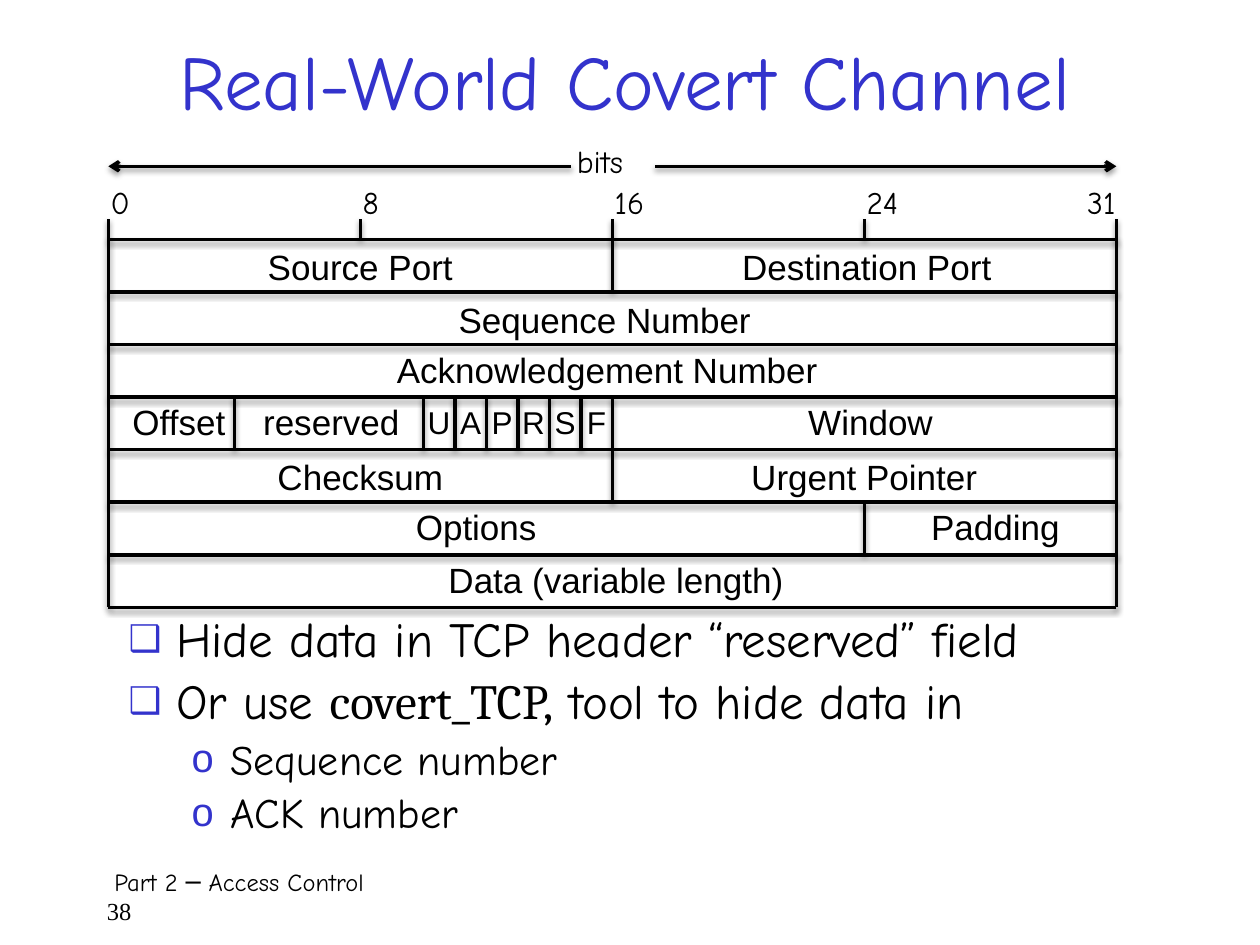
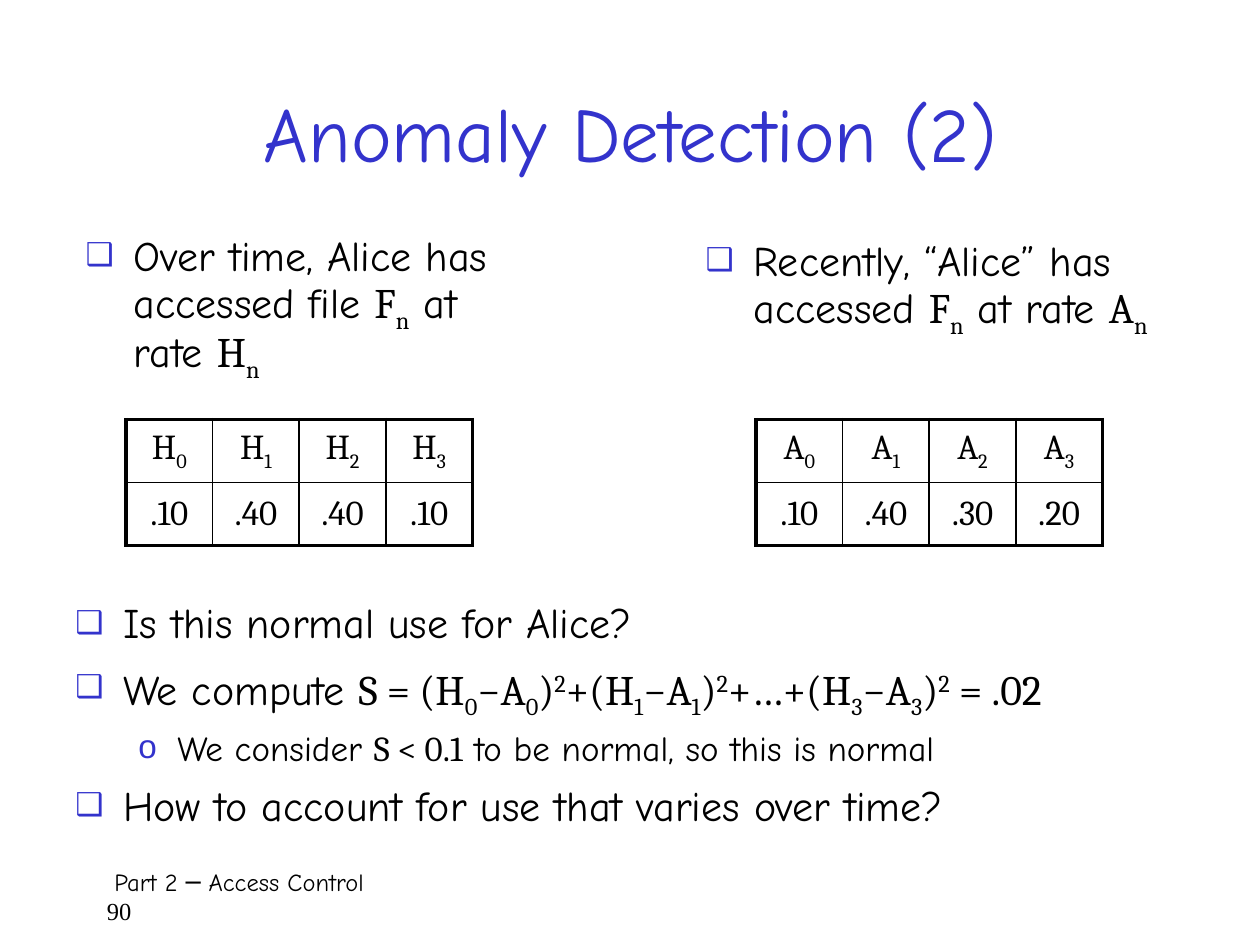
"""Build two lecture slides: a TCP header diagram and an anomaly detection example."""
from dataclasses import dataclass
from itertools import accumulate

from lxml import etree
from pptx import Presentation
from pptx.dml.color import RGBColor
from pptx.enum.shapes import MSO_CONNECTOR
from pptx.enum.text import MSO_ANCHOR, MSO_AUTO_SIZE, PP_ALIGN
from pptx.oxml.ns import qn
from pptx.util import Inches, Pt

STRAIGHT = MSO_CONNECTOR.STRAIGHT
MIDDLE = MSO_ANCHOR.MIDDLE
FIXED = MSO_AUTO_SIZE.NONE
LEFT, CENTER = PP_ALIGN.LEFT, PP_ALIGN.CENTER


@dataclass(frozen=True)
class Theme:
    ink: str = "000000"
    accent: str = "3333CC"
    hand: str = "Comic Neue"
    formula: str = "Cambria"
    diagram: str = "Arial"
    number: str = "Times New Roman"
    title: int = 44
    large: int = 28
    medium: int = 24
    small: int = 20
    label: int = 18
    footer: int = 14


THEME = Theme()
BULLETS = [("❑", 75, 0.38, -0.38), ("o", 95, 0.81, -0.31)]
SCRIPTS = {"↓": "-25000", "↑": "30000"}


def place(box, left, top, width, height):
    """Move a box, in inches, and return its text frame."""
    box.left, box.top = Inches(left), Inches(top)
    box.width, box.height = Inches(width), Inches(height)
    box.text_frame.word_wrap = True
    box.text_frame.auto_size = FIXED
    return box.text_frame


def write(frame, text, size, font=THEME.hand, color=THEME.ink, align=LEFT,
          level=None, spacing=1.0, after=0, indent=0):
    """Add a paragraph; backticks switch to the formula font, |↓ and |↑ shift a piece."""
    first = not frame.paragraphs[0].runs
    para = frame.paragraphs[0] if first else frame.add_paragraph()
    properties = para._p.get_or_add_pPr()
    if level is not None:
        sign, percent, margin, indent = BULLETS[level]
        para.level = level
        properties.set("marL", str(Inches(margin)))
        tint = etree.SubElement(properties, qn("a:buClr"))
        etree.SubElement(tint, qn("a:srgbClr"), val=THEME.accent)
        etree.SubElement(properties, qn("a:buSzPct"), val=str(percent * 1000))
        etree.SubElement(properties, qn("a:buFont"), typeface=THEME.diagram)
        etree.SubElement(properties, qn("a:buChar"), char=sign)
    properties.set("indent", str(Inches(indent)))
    para.alignment = align
    para.line_spacing = spacing
    para.space_before = Pt(0 if first or level is None else size * 0.2)
    para.space_after = Pt(after)
    for index, part in enumerate(text.split("`")):
        for piece in filter(None, part.split("|")):
            span = para.add_run()
            span.text = piece.lstrip("↓↑")
            span.font.size = Pt(size)
            span.font.name = THEME.formula if index % 2 else font
            span.font.color.rgb = RGBColor.from_string(color)
            if piece[0] in SCRIPTS:
                span._r.get_or_add_rPr().set("baseline", SCRIPTS[piece[0]])


deck = Presentation()
deck.slide_width, deck.slide_height = Inches(10), Inches(7.5)

pages = [
    (1, "Real-World Covert Channel", (0.67, 0.17, 8.58, 0.92), "38"),
    (3, "Anomaly Detection (2)", (0.67, 0.42, 8.67, 1.25), "90"),
]
for layout, title, title_area, number in pages:
    slide = deck.slides.add_slide(deck.slide_layouts[layout])
    frame = place(slide.shapes.title, *title_area)
    write(frame, title, THEME.title, color=THEME.accent, align=CENTER)
    frame = place(slide.shapes.add_textbox(0, 0, 0, 0), 0.75, 6.83, 8.58, 0.5)
    write(frame, "Part 2 ─ Access Control", THEME.footer, indent=0.06)
    write(frame, number, THEME.footer, font=THEME.number)
header_slide, anomaly_slide = deck.slides

frame = place(header_slide.placeholders[1], 0.92, 4.83, 8.33, 2)
for text, level, size in [
    ("Hide data in TCP header “reserved” field", 0, THEME.large),
    ("Or use `covert_TCP,` tool to hide data in", 0, THEME.large),
    ("Sequence number", 1, THEME.medium),
    ("ACK number", 1, THEME.medium),
]:
    write(frame, text, size, level=level, spacing=0.9)

GRID_LEFT, GRID_TOP, BIT, ROW = 0.86, 1.9, 0.25, 2.92 / 7
GRID_RIGHT, GRID_BOTTOM = GRID_LEFT + 32 * BIT, GRID_TOP + 7 * ROW
header_rows = [
    (0, [("Source Port", 16, 0), ("Destination Port", 16, 0.02)]),
    (0, [("Sequence Number", 32, -0.06)]),
    (-0.02, [("Acknowledgement Number", 32, -0.04)]),
    (-0.02, [("Offset", 4, 0.06), ("reserved", 6, 0.02)]
     + [(flag, 1, 0) for flag in "UAPRSF"] + [("Window", 16, 0.05)]),
    (0, [("Checksum", 16, 0), ("Urgent Pointer", 16, 0)]),
    (-0.02, [("Options", 24, -0.08), ("Padding", 8, 0.04)]),
    (-0.02, [("Data (variable length)", 32, 0.03)]),
]
lines = [(GRID_LEFT, GRID_TOP, GRID_RIGHT, GRID_TOP)]
lines += [(x, GRID_TOP, x, GRID_BOTTOM) for x in (GRID_LEFT, GRID_RIGHT)]
lines += [(GRID_LEFT + bit * BIT, GRID_TOP, GRID_LEFT + bit * BIT, GRID_TOP - 0.16)
          for bit in range(0, 33, 8)]
for row, (lift, fields) in enumerate(header_rows):
    top = GRID_TOP + row * ROW
    lines.append((GRID_LEFT, top + ROW, GRID_RIGHT, top + ROW))
    ends = accumulate(bits for name, bits, nudge in fields)
    for (name, bits, nudge), end in zip(fields, ends):
        right = GRID_LEFT + end * BIT
        if end < 32:
            lines.append((right, top, right, top + ROW))
        flag = bits == 1
        frame = place(header_slide.shapes.add_textbox(0, 0, 0, 0),
                      right - bits * BIT + nudge, top if flag else top + lift,
                      bits * BIT, 0.44)
        frame.margin_left = frame.margin_right = 0
        write(frame, name, THEME.label if flag else THEME.small,
              font=THEME.diagram, align=CENTER)

arrows = [(4.53, 1.32, GRID_LEFT, 1.32), (5.2, 1.32, GRID_RIGHT, 1.32)]
for ends in lines + arrows:
    line = header_slide.shapes.add_connector(STRAIGHT, *map(Inches, ends)).line
    line.color.rgb = RGBColor.from_string(THEME.ink)
    line.width = Pt(2)
    if ends in arrows:
        etree.SubElement(line._get_or_add_ln(), qn("a:tailEnd"), type="arrow")

scale_labels = [(str(bit), GRID_LEFT + bit * BIT - 0.08, 1.4)
                for bit in (0, 8, 16, 24, 31)]
for text, left, top in scale_labels + [("bits", 4.48, 1.08)]:
    frame = place(header_slide.shapes.add_textbox(0, 0, 0, 0), left, top, 0.7, 0.4)
    write(frame, text, THEME.label)

histories = [
    (1, (0.58, 1.83), "Over time, Alice has accessed file `F|↓n` at rate `H|↓n",
     "H", (".10", ".40", ".40", ".10"), 1),
    (2, (5.5, 1.87), "Recently, “Alice” has accessed `F|↓n` at rate `A|↓n",
     "A", (".10", ".40", ".30", ".20"), 6),
]
for holder, corner, text, symbol, rates, table_left in histories:
    frame = place(anomaly_slide.placeholders[holder], *corner, 3.75, 1.33)
    write(frame, text, THEME.medium, level=0, spacing=0.85)
    table = anomaly_slide.shapes.add_table(
        2, 4, Inches(table_left), Inches(3.33), Inches(2.75), Inches(1)).table
    table.first_row = table.horz_banding = False
    names = [f"{symbol}|↓{index}" for index in range(4)]
    for row, values in enumerate((names, rates)):
        for column, value in enumerate(values):
            cell = table.cell(row, column)
            cell.fill.background()
            cell.vertical_anchor = MIDDLE
            write(cell.text_frame, f"`{value}", THEME.small, align=CENTER)
            outer = (("L", column == 0), ("R", column == 3),
                     ("T", row == 0), ("B", row == 1))
            for index, (side, outside) in enumerate(outer):
                border = etree.Element(qn(f"a:ln{side}"),
                                       w=str(Pt(2.25 if outside else 1)))
                fill = etree.SubElement(border, qn("a:solidFill"))
                etree.SubElement(fill, qn("a:srgbClr"), val=THEME.ink)
                cell._tc.get_or_add_tcPr().insert(index, border)

frame = place(anomaly_slide.shapes.add_textbox(0, 0, 0, 0), 0.5, 4.75, 9.25, 2)
squares = [f"(H|↓{index}|−A|↓{index}|)|↑2|" for index in (0, 1, 3)]
for text, level, size in [
    ("Is this normal use for Alice?", 0, THEME.medium),
    ("We compute `S = {}+{}+…+{} = .02".format(*squares), 0, THEME.medium),
    ("We consider `S < 0.1` to be normal, so this is normal", 1, THEME.small),
    ("How to account for use that varies over time?", 0, THEME.medium),
]:
    write(frame, text, size, level=level, spacing=0.85, after=6)

deck.save("out.pptx")
